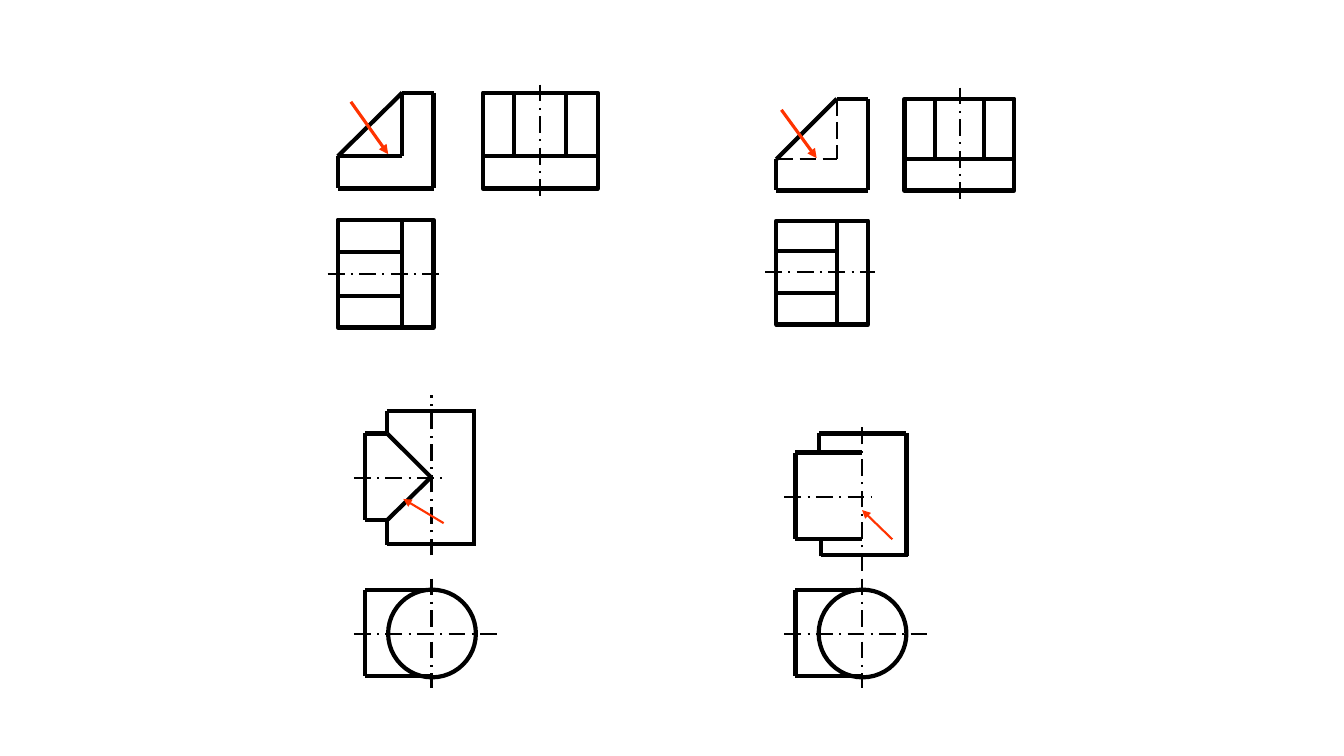
from pptx import Presentation
from pptx.dml.color import RGBColor
from pptx.enum.dml import MSO_LINE_DASH_STYLE as DASH
from pptx.enum.shapes import MSO_CONNECTOR as CONN, MSO_SHAPE as SHAPE
from pptx.oxml.ns import qn
from pptx.util import Pt
from lxml import etree

PX = 9144
BLACK, RED = "000000", "FF3300"


def draw_line(shapes, ends, width=3, dash=None, color=BLACK, arrow=False):
    c = shapes.add_connector(CONN.STRAIGHT, *[v * PX for v in ends])
    c.line.color.rgb = RGBColor.from_string(color)
    c.line.width = Pt(width)
    if dash:
        c.line.dash_style = dash
    if arrow:
        etree.SubElement(c.line._get_or_add_ln(), qn("a:tailEnd"), type="triangle")
    etree.SubElement(c._element.spPr, qn("a:effectLst"))


def draw_outline(shapes, kind, box):
    sp = shapes.add_shape(kind, *[v * PX for v in box])
    sp.shadow.inherit = False
    sp.fill.background()
    sp.line.color.rgb = RGBColor.from_string(BLACK)
    sp.line.width = Pt(3)


prs = Presentation()
prs.slide_width, prs.slide_height = 1333 * PX, 750 * PX
s = prs.slides.add_slide(prs.slide_layouts[6])

wedges = [
    {"front_x": (335, 399, 430), "front_y": (92, 155, 187),
     "side_x": (479, 510, 561, 593), "plan_y": (218, 250, 294, 325),
     "axes": [(325, 272, 440, 272), (536, 84, 536, 195)], "inner": (3, None)},
    {"front_x": (770, 830, 861), "front_y": (98, 158, 189),
     "side_x": (897, 927, 976, 1006), "plan_y": (219, 249, 291, 322),
     "axes": [(759, 270, 868, 270), (952, 87, 952, 198)], "inner": (1.5, DASH.LONG_DASH)},
]
for w in wedges:
    shapes = s.shapes.add_group_shape().shapes
    left, step, right = w["front_x"]
    top, ledge, bottom = w["front_y"]
    side_left, *side_ribs, side_right = w["side_x"]
    plan_top, *plan_ribs, plan_bottom = w["plan_y"]
    for axis in w["axes"]:
        draw_line(shapes, axis, 1.5, DASH.LONG_DASH_DOT)
    for inner in [(step, top, step, ledge), (left, ledge, step, ledge)]:
        draw_line(shapes, inner, *w["inner"])
    for edge in [(left, ledge, left, bottom), (left, bottom, right, bottom),
                 (right, bottom, right, top), (step, top, right, top),
                 (step, top, left, ledge)]:
        draw_line(shapes, edge)
    draw_outline(shapes, SHAPE.RECTANGLE,
                 (side_left, top, side_right - side_left, bottom - top))
    draw_line(shapes, (side_left, ledge, side_right, ledge))
    for x in side_ribs:
        draw_line(shapes, (x, top, x, ledge))
    draw_outline(shapes, SHAPE.RECTANGLE,
                 (left, plan_top, right - left, plan_bottom - plan_top))
    for y in plan_ribs:
        draw_line(shapes, (left, y, step, y))
    draw_line(shapes, (step, plan_top, step, plan_bottom))

tees = [
    {"x": 362,
     "axes": [(428, 551, 428, 392), (351, 474, 441, 474)],
     "edges": [(384, 430, 362, 430), (362, 430, 362, 516), (384, 516, 362, 516),
               (384, 516, 428, 473), (384, 430, 428, 474), (384, 515, 384, 541),
               (384, 540, 472, 540), (384, 430, 384, 408), (384, 408, 472, 408),
               (470, 408, 470, 540)]},
    {"x": 789,
     "axes": [(855, 566, 855, 419), (778, 493, 865, 493)],
     "edges": [(855, 449, 789, 449), (789, 449, 789, 535), (789, 535, 855, 535),
               (812, 430, 812, 449), (899, 430, 812, 430), (899, 430, 899, 552),
               (901, 551, 814, 551), (814, 552, 814, 535)]},
]
for t in tees:
    shapes = s.shapes.add_group_shape().shapes
    left = t["x"]
    mid = left + 66
    plan_axes = [(left - 11, 629, left + 132, 629), (mid, 574, mid, 683)]
    plan_edges = [(mid, 585, left, 585), (left, 585, left, 671), (left, 671, mid, 671)]
    for axis in t["axes"] + plan_axes:
        draw_line(shapes, axis, 1.5, DASH.LONG_DASH_DOT)
    for edge in t["edges"] + plan_edges:
        draw_line(shapes, edge)
    draw_outline(shapes, SHAPE.OVAL, (left + 23, 585, 87, 87))

pointers = [((348, 101, 385, 153), 2.25), ((775, 109, 810, 157), 2.25),
            ((440, 519, 400, 495), 1.5), ((885, 535, 855, 506), 1.5)]
for ends, width in pointers:
    draw_line(s.shapes, ends, width, color=RED, arrow=True)

prs.save("out.pptx")
